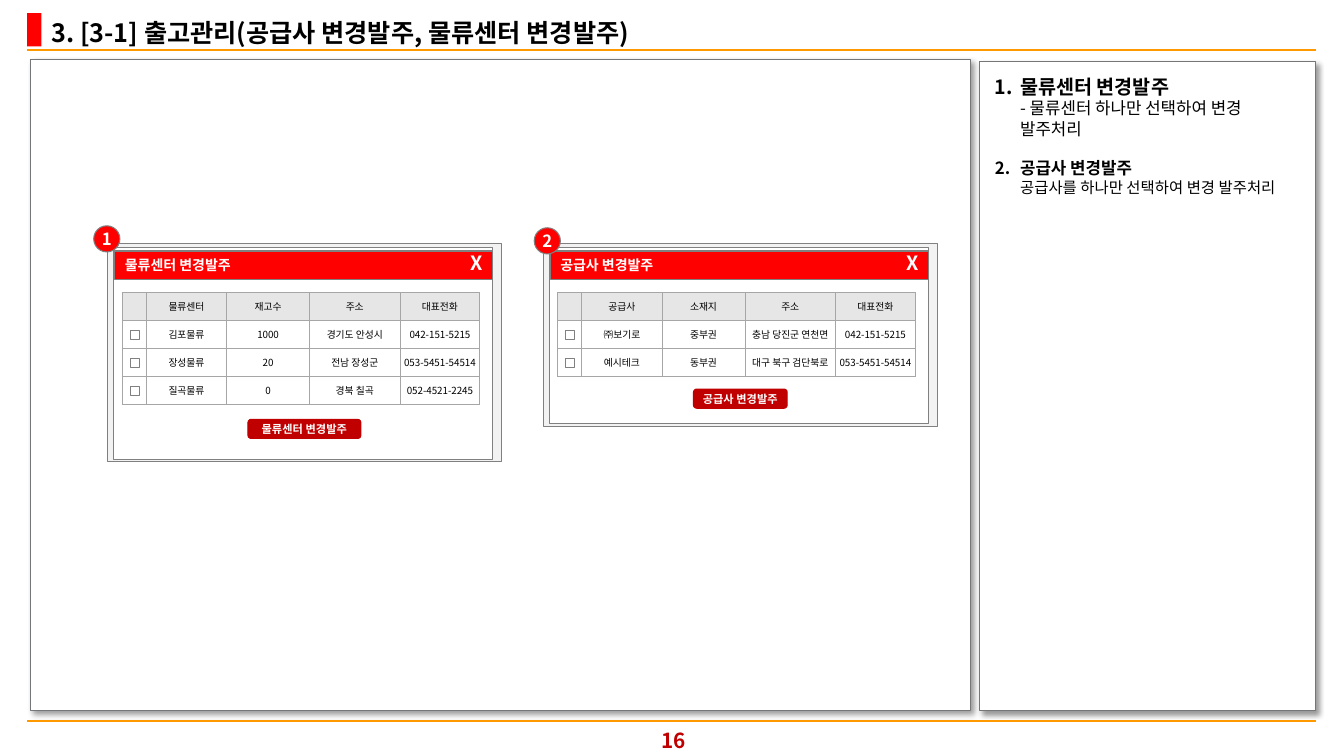
from lxml import etree
from pptx import Presentation
from pptx import util as u
from pptx.dml.color import RGBColor
from pptx.enum import shapes, text
from pptx.oxml.ns import qn

CELL = 0.1  # inches per grid column and row
FONT = "Noto Sans CJK KR"
COLORS = {
    "black": "000000", "white": "FFFFFF", "red": "FF0000", "dark_red": "C00000",
    "orange": "FF9900", "frame": "747678", "gray": "808080", "pale": "F2F2F2",
    "header": "E6E6E6", "border": "A6A6A6",
}
KIND = shapes.MSO_SHAPE
ALIGN = text.PP_ALIGN
TABLE_COLUMNS = (2.4, 8, 8.2, 9, 7.9)
TABLE_ROW = 2.78

DIALOGS = [
    {"number": "1", "title": "물류센터 변경발주", "left": 10.7, "height": 21.6,
     "button": (13.9, 17.4, 11.2), "badge": (9.3, 22.4),
     "rows": [("", "물류센터", "재고수", "주소", "대표전화"),
              ("", "김포물류", "1000", "경기도 안성시", "042-151-5215"),
              ("", "장성물류", "20", "전남 장성군", "053-5451-54514"),
              ("", "질곡물류", "0", "경북 칠곡", "052-4521-2245")]},
    {"number": "2", "title": "공급사 변경발주", "left": 53.9, "height": 18.1,
     "button": (14.9, 14.4, 9.3), "badge": (53, 22.6),
     "rows": [("", "공급사", "소재지", "주소", "대표전화"),
              ("", "㈜보기로", "중부권", "충남 당진군 연천면", "042-151-5215"),
              ("", "예시테크", "동부권", "대구 북구 검단북로", "053-5451-54514")]},
]
NOTES = [
    ("물류센터 변경발주", 14, "- 물류센터 하나만 선택하여 변경 발주처리", 12),
    ("공급사 변경발주", 12, "공급사를 하나만 선택하여 변경 발주처리", 11),
]


def grid(*cells):
    return [u.Inches(cell * CELL) for cell in cells]


def color(name):
    return RGBColor.from_string(COLORS[name])


def set_font(font, size, name="black", bold=True):
    font.size, font.bold, font.name = u.Pt(size), bold, FONT
    font.color.rgb = color(name)
    # Korean glyphs use the East Asian font slot
    etree.SubElement(font._element, qn("a:ea"), typeface=FONT)


def write(frame, words, size, name="black", align=ALIGN.LEFT, inset=1, bold=True):
    frame.word_wrap = True
    frame.auto_size = text.MSO_AUTO_SIZE.NONE
    frame.vertical_anchor = text.MSO_ANCHOR.MIDDLE
    frame.margin_left, frame.margin_right = grid(inset, inset)
    frame.margin_top = frame.margin_bottom = 0
    paragraph = frame.paragraphs[0]
    paragraph.text, paragraph.alignment = words, align
    set_font(paragraph.font, size, name, bold)
    paragraph.space_before = u.Pt(0)


def add_box(slide, place, fill, line=None, kind=KIND.RECTANGLE):
    shape = slide.shapes.add_shape(kind, *grid(*place))
    shape.shadow.inherit = False
    shape.fill.solid()
    shape.fill.fore_color.rgb = color(fill)
    if line:
        shape.line.color.rgb, shape.line.width = color(line), u.Pt(0.75)
    else:
        shape.line.fill.background()
    return shape


def add_panel(slide, place):
    panel = add_box(slide, place, "white", "frame")
    effects = panel._element.spPr.find(qn("a:effectLst"))
    shadow = etree.SubElement(effects, qn("a:outerShdw"), blurRad=str(u.Pt(4)),
                              dist=str(u.Pt(3)), dir="2700000", algn="tl", rotWithShape="0")
    tint = etree.SubElement(shadow, qn("a:srgbClr"), val=COLORS["black"])
    etree.SubElement(tint, qn("a:alpha"), val="40000")


def add_rule(slide, top):
    left, right, height = grid(2.7, 130.6, top)
    rule = slide.shapes.add_connector(shapes.MSO_CONNECTOR.STRAIGHT, left, height, right, height)
    rule.line.color.rgb, rule.line.width = color("orange"), u.Pt(1.5)
    etree.SubElement(rule._element.spPr, qn("a:effectLst"))


def add_label(slide, place, *style, **options):
    label = slide.shapes.add_textbox(*grid(*place))
    write(label.text_frame, *style, **options)


def place_on_top(slide, placeholder, place):
    placeholder.left, placeholder.top, placeholder.width, placeholder.height = grid(*place)
    slide.shapes._spTree.append(placeholder._element)
    return placeholder.text_frame


def add_borders(cell):
    properties = cell._tc.get_or_add_tcPr()
    for position, side in enumerate(("lnL", "lnR", "lnT", "lnB")):
        line = etree.Element(qn(f"a:{side}"), w=str(u.Pt(0.5)))
        fill = etree.SubElement(line, qn("a:solidFill"))
        etree.SubElement(fill, qn("a:srgbClr"), val=COLORS["border"])
        properties.insert(position, line)


def add_order_table(slide, left, top, rows):
    size = grid(left, top, sum(TABLE_COLUMNS), TABLE_ROW * len(rows))
    table = slide.shapes.add_table(len(rows), len(TABLE_COLUMNS), *size).table
    for column, width in zip(table.columns, grid(*TABLE_COLUMNS)):
        column.width = width
    for row_index, row in enumerate(rows):
        table.rows[row_index].height = grid(TABLE_ROW)[0]
        for column_index, words in enumerate(row):
            cell = table.cell(row_index, column_index)
            write(cell.text_frame, words, 7, align=ALIGN.CENTER, bold=False)
            if not words:
                etree.SubElement(cell.text_frame.paragraphs[0]._p, qn("a:endParaRPr"), sz="700")
            cell.margin_left = cell.margin_right = 0
            cell.margin_top = cell.margin_bottom = grid(0.5)[0]
            cell.vertical_anchor = text.MSO_ANCHOR.MIDDLE
            cell.fill.solid()
            cell.fill.fore_color.rgb = color("white" if row_index else "header")
            add_borders(cell)


def add_dialog(slide, number, title, left, height, button, badge, rows):
    top, table_top = 24.2, 29
    # Window frame and title bar
    add_box(slide, (left, top, 39.1, height), "pale", "gray")
    add_box(slide, (left + 0.6, top + 0.35, 37.6, height - 0.6), "white", "gray")
    bar = add_box(slide, (left + 0.7, top + 0.7, 37.5, 2.8), "red", "gray")
    write(bar.text_frame, title, 10, "white")
    add_label(slide, (left + 35, top + 0.2, 4.1, 3.4), "X", 14, "white")
    # Table with one checkbox per data row
    add_order_table(slide, left + 1.4, table_top, rows)
    for row in range(1, len(rows)):
        add_box(slide, (left + 2.2, table_top + 1 + row * TABLE_ROW, 0.9, 0.9), "white", "gray")
    # Order button and numbered badge
    across, down, width = button
    order = add_box(slide, (left + across, top + down, width, 1.9),
                    "dark_red", "dark_red", KIND.ROUNDED_RECTANGLE)
    write(order.text_frame, title, 8, "white", ALIGN.CENTER, inset=0)
    marker = add_box(slide, (*badge, 2.6, 2.6), "red", "gray", KIND.OVAL)
    write(marker.text_frame, number, 12, "white", ALIGN.CENTER, inset=0)


def write_notes(frame):
    frame.word_wrap = True
    frame.auto_size = text.MSO_AUTO_SIZE.NONE
    frame.vertical_anchor = text.MSO_ANCHOR.TOP
    frame.margin_left, frame.margin_right, frame.margin_top, frame.margin_bottom = grid(1, 1, 0.5, 0.5)
    for index, (heading, heading_size, detail, detail_size) in enumerate(NOTES):
        paragraph = frame.add_paragraph() if index else frame.paragraphs[0]
        properties = paragraph._p.get_or_add_pPr()
        indent = u.Inches(0.25)
        properties.set("marL", str(indent))
        properties.set("indent", str(-indent))
        paragraph.line_spacing = 1.0
        paragraph.space_before = u.Pt(14 if index else 0)
        etree.SubElement(properties, qn("a:buFont"), typeface="+mj-lt")
        etree.SubElement(properties, qn("a:buAutoNum"), type="arabicPeriod")
        run = paragraph.add_run()
        run.text = heading
        set_font(run.font, heading_size)
        paragraph.add_line_break()
        run = paragraph.add_run()
        run.text = detail
        set_font(run.font, detail_size, bold=False)


def main():
    presentation = Presentation()
    presentation.slide_width, presentation.slide_height = grid(133.33, 75)
    slide = presentation.slides.add_slide(presentation.slide_layouts[1])
    title, body = slide.placeholders

    # Page frame
    add_rule(slide, 5)
    add_box(slide, (2.7, 1.3, 1.4, 3.3), "red")
    add_rule(slide, 71.5)
    add_label(slide, (61.7, 71.6, 10.3, 3.7), "16", 14.8, "dark_red", ALIGN.CENTER)
    add_panel(slide, (3, 5.9, 93.3, 64.6))
    add_panel(slide, (97.2, 6.1, 33.3, 64.4))

    # Title, dialogs and notes
    heading = place_on_top(slide, title, (3.7, 0.65, 71.7, 5.1))
    write(heading, "3. [3-1] 출고관리(공급사 변경발주, 물류센터 변경발주)", 18, inset=1.4)
    for dialog in DIALOGS:
        add_dialog(slide, **dialog)
    write_notes(place_on_top(slide, body, (97.7, 6.9, 32.5, 19)))

    presentation.save("out.pptx")


if __name__ == "__main__":
    main()
